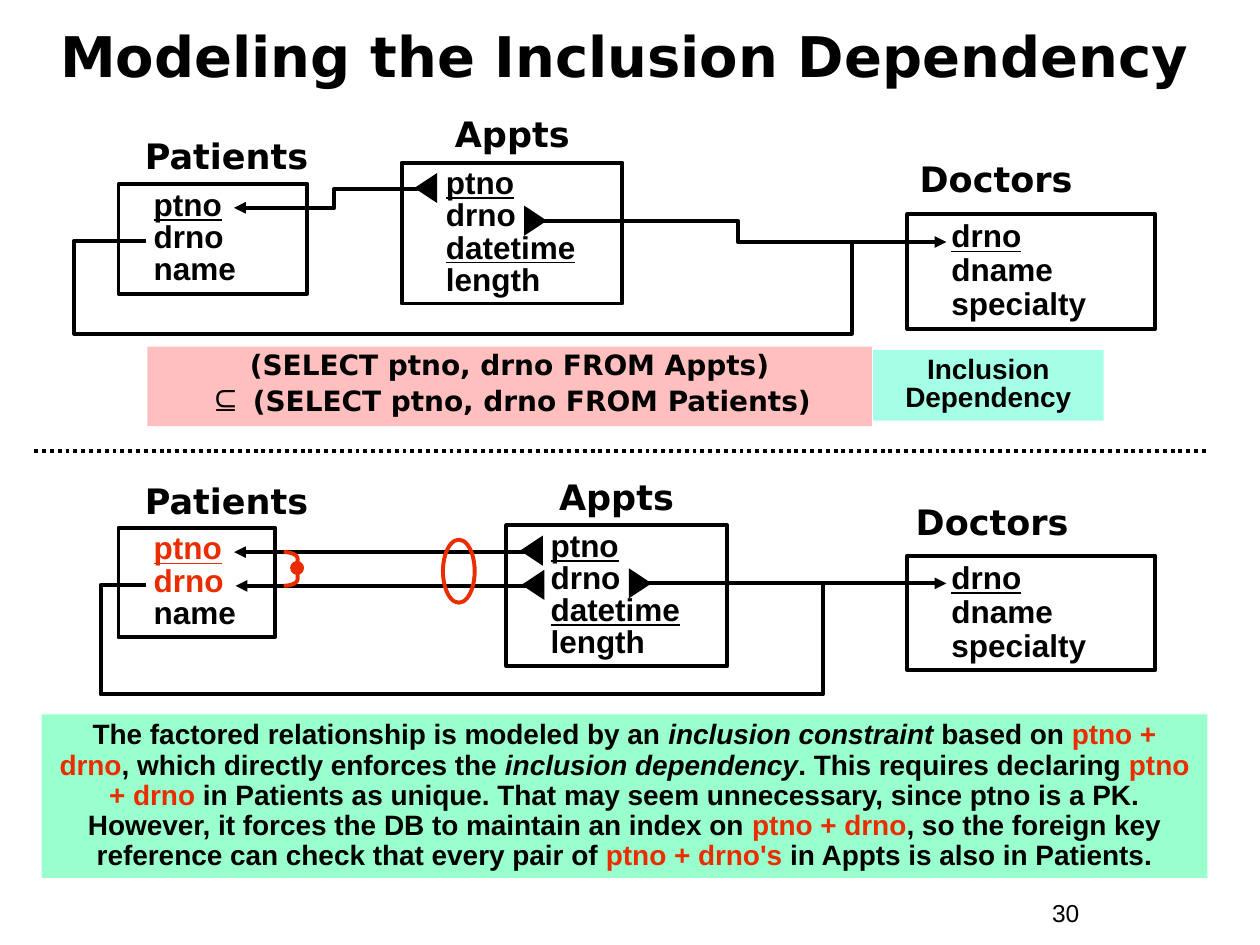
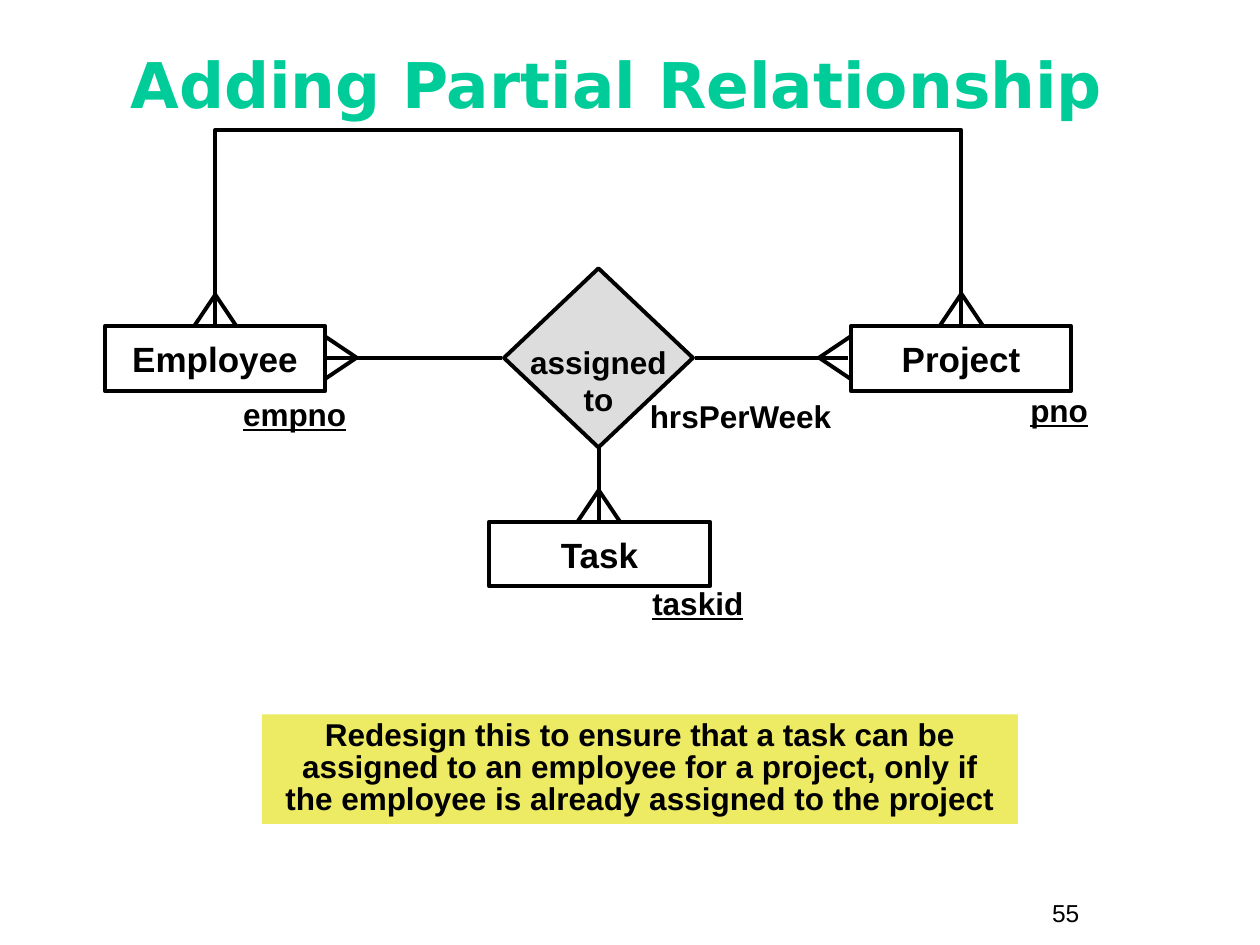
import math

import pptx
import pptx.dml.color
import pptx.enum.dml
import pptx.enum.shapes
import pptx.enum.text
import pptx.oxml
import pptx.oxml.ns
import pptx.util

Cm = pptx.util.Cm
Pt = pptx.util.Pt
RGBColor = pptx.dml.color.RGBColor
Shape = pptx.enum.shapes.MSO_SHAPE
Connector = pptx.enum.shapes.MSO_CONNECTOR
Align = pptx.enum.text.PP_ALIGN
Anchor = pptx.enum.text.MSO_ANCHOR

BLACK = RGBColor(0x00, 0x00, 0x00)
RED = RGBColor(0xEA, 0x2D, 0x00)
TEAL = RGBColor(0x00, 0xCC, 0x99)
PINK = RGBColor(0xFF, 0xBF, 0xBF)
AQUA = RGBColor(0xA5, 0xFF, 0xE7)
MINT = RGBColor(0x99, 0xFF, 0xCC)
YELLOW = RGBColor(0xED, 0xEA, 0x63)
GREY = RGBColor(0xDD, 0xDD, 0xDD)
BODY_FONT = "Arial"
HEADING_FONT = "DejaVu Sans"
LINE_WIDTH = Pt(2.25)

KEY = {"underline": True}
ITALIC = {"italic": True}
HOT = {"color": RED}
HOT_KEY = {"color": RED, "underline": True}


def add_box(slide, place, text=(), shape=None, fill=None, line=None, rotation=0,
            anchor=Anchor.TOP, wrap=True, left_inset=0.25, top_inset=0.13,
            align=Align.LEFT, spacing=1.0, before=0, **font_format):
    lengths = [Cm(value) for value in place]
    if shape is None:
        box = slide.shapes.add_textbox(*lengths)
    else:
        box = slide.shapes.add_shape(shape, *lengths)
        box.shadow.inherit = False
        box.rotation = rotation
        if fill is None:
            box.fill.background()
        else:
            box.fill.solid()
            box.fill.fore_color.rgb = fill
        if line is None:
            box.line.fill.background()
        else:
            box.line.color.rgb = line
            box.line.width = LINE_WIDTH
    frame = box.text_frame
    frame.word_wrap = wrap
    frame.vertical_anchor = anchor
    frame.margin_left, frame.margin_right = Cm(left_inset), Cm(0.25)
    frame.margin_top, frame.margin_bottom = Cm(top_inset), Cm(0.13)
    paragraphs = [[text]] if isinstance(text, str) else text
    for index, spans in enumerate(paragraphs):
        para = frame.add_paragraph() if index else frame.paragraphs[0]
        para.alignment = align
        para.line_spacing = spacing
        para.space_before = Pt(before if index else 0)
        for piece in spans:
            words, changes = (piece, {}) if isinstance(piece, str) else piece
            look = {"font": BODY_FONT, "size": 18, "bold": True, "color": BLACK,
                    **font_format, **changes}
            span = para.add_run()
            span.text = words
            span.font.name = look["font"]
            span.font.size = Pt(look["size"])
            span.font.bold = look["bold"]
            span.font.italic = look.get("italic", False)
            span.font.underline = look.get("underline", False)
            span.font.color.rgb = look["color"]
    return box


def add_line(slide, points, color=BLACK, kind=Connector.STRAIGHT, arrow=False):
    corners = [(Cm(x), Cm(y)) for x, y in points]
    if len(corners) == 2:
        line = slide.shapes.add_connector(kind, *corners[0], *corners[1])
        properties = line.element.spPr
        pptx.oxml.ns.qn("a:effectLst")
        line.line.color.rgb = color
        line.line.width = LINE_WIDTH
        if arrow:
            head = pptx.oxml.parse_xml(
                f'<a:tailEnd {pptx.oxml.ns.nsdecls("a")} type="triangle"/>')
            line.line.color.rgb = color
            properties.find(pptx.oxml.ns.qn("a:ln")).append(head)
        properties.append(pptx.oxml.parse_xml(
            f'<a:effectLst {pptx.oxml.ns.nsdecls("a")}/>'))
        return line
    builder = slide.shapes.build_freeform(*corners[0])
    builder.add_line_segments(corners[1:], close=False)
    line = builder.convert_to_shape()
    line.shadow.inherit = False
    line.fill.background()
    line.line.color.rgb = color
    line.line.width = LINE_WIDTH
    return line


deck = pptx.Presentation()
deck.slide_width, deck.slide_height = Cm(25.4), Cm(19.05)
slides = []
for title, place, size, color, spacing, number in [
    ("Modeling the Inclusion Dependency", (0.43, 0.38, 24.33, 1.7), 32, BLACK, 0.8, "30"),
    ("Adding Partial Relationship", (0.58, 0.84, 23.7, 1.7), 36, TEAL, 1.0, "55"),
]:
    slide = deck.slides.add_slide(deck.slide_layouts[6])
    add_box(slide, (20.96, 17.98, 2.34, 0.86), number, size=14, bold=False)
    add_box(slide, place, title, font=HEADING_FONT, size=size, color=color,
            align=Align.CENTER, anchor=Anchor.MIDDLE, spacing=spacing)
    slides.append(slide)
inclusion, partial = slides

doctors = [[("drno", KEY)], ["dname"], ["specialty"]]
appts = [[("ptno", KEY)], ["drno"], [("datetime", KEY)], ["length"]]
patients = [[("ptno", KEY)], ["drno"], ["name"]]
unique_patients = [[("ptno", HOT_KEY)], [("drno", HOT)], ["name"]]
for name, heading_at, table_place, fields, inset, spacing in [
    ("Doctors", (18.29, 3.05), (18.29, 4.32, 5, 2.31), doctors, 0.89, 0.9),
    ("Patients", (2.67, 2.59), (2.39, 3.71, 3.81, 2.21), patients, 0.71, 0.85),
    ("Appts", (8.92, 2.14), (8.1, 3.28, 4.45, 2.84), appts, 0.89, 0.85),
    ("Doctors", (18.21, 9.96), (18.29, 11.2, 5, 2.31), doctors, 0.89, 0.9),
    ("Patients", (2.67, 9.53), (2.39, 10.64, 3.15, 2.21), unique_patients, 0.71, 0.85),
    ("Appts", (11.02, 9.46), (10.21, 10.59, 4.45, 2.84), appts, 0.89, 0.85),
]:
    add_box(inclusion, (*heading_at, 5.46, 1.12), name, font=HEADING_FONT, size=20)
    add_box(inclusion, table_place, fields, shape=Shape.RECTANGLE, line=BLACK,
            left_inset=inset, spacing=spacing)

for start, end, kind in [
    ((8.76, 3.81), (4.72, 4.19), Connector.ELBOW),
    ((10.67, 4.45), (19.08, 4.88), Connector.ELBOW),
    ((10.9, 11.13), (4.72, 11.13), Connector.STRAIGHT),
    ((10.92, 11.81), (4.75, 11.81), Connector.STRAIGHT),
    ((12.78, 11.76), (19.08, 11.76), Connector.STRAIGHT),
]:
    add_line(inclusion, [start, end], kind=kind, arrow=True)

for left, right, top, bottom, join in [
    (1.5, 17.17, 4.85, 6.73, 4.88),
    (2.03, 16.59, 11.79, 14, 11.76),
]:
    add_line(inclusion, [(2.95, top), (left, top), (left, bottom),
                         (right, bottom), (right, join)])

for left, top, rotation in [(8.28, 3.56, 270), (10.49, 4.22, 90), (10.41, 10.87, 270),
                            (12.6, 11.53, 90), (10.44, 11.56, 270)]:
    add_box(inclusion, (left, top, 0.61, 0.46), shape=Shape.ISOSCELES_TRIANGLE,
            fill=BLACK, rotation=rotation)

divider = add_line(inclusion, [(0.69, 9.09), (24.38, 9.09)])
divider.line.dash_style = pptx.enum.dml.MSO_LINE.ROUND_DOT

bracket = []
for center_y, first_angle in [(11.26, -90), (11.68, 0)]:
    for angle in range(first_angle, first_angle + 91, 15):
        turn = math.radians(angle)
        bracket.append((5.72 + 0.28 * math.cos(turn), center_y + 0.13 * math.sin(turn)))
add_line(inclusion, bracket, color=RED)
add_box(inclusion, (5.89, 11.35, 0.2, 0.2), shape=Shape.OVAL, fill=RED, line=RED)
add_box(inclusion, (8.93, 10.88, 0.64, 1.27), shape=Shape.OVAL, line=RED)

query = [
    ["(SELECT ptno, drno FROM Appts)"],
    [("⊆", {"font": BODY_FONT, "size": 20}), " (SELECT ptno, drno FROM Patients)"],
]
explanation = [[
    "The factored relationship is modeled by an ", ("inclusion constraint", ITALIC),
    " based on ", ("ptno + drno", HOT), ", which directly enforces the ",
    ("inclusion dependency", ITALIC), ". This requires declaring ", ("ptno + drno", HOT),
    " in Patients as unique. That may seem unnecessary, since ptno is a PK. "
    "However, it forces the DB to maintain an index on ", ("ptno + drno", HOT),
    ", so the foreign key reference can check that every pair of ",
    ("ptno + drno's", HOT), " in Appts is also in Patients.",
]]
task_rule = ("Redesign this to ensure that a task can be assigned to an employee for a "
             "project, only if the employee is already assigned to the project")
for slide, place, text, fill, font, size, spacing in [
    (inclusion, (2.97, 6.99, 14.61, 1.6), query, PINK, HEADING_FONT, 16, 0.85),
    (inclusion, (17.6, 7.06, 4.65, 1.42), "Inclusion Dependency", AQUA, BODY_FONT, 16, 0.85),
    (inclusion, (0.84, 14.4, 23.5, 3.3), explanation, MINT, BODY_FONT, 16, 0.9),
    (partial, (5.28, 14.4, 15.24, 2.21), task_rule, YELLOW, BODY_FONT, 18, 0.85),
]:
    add_box(slide, place, text, shape=Shape.RECTANGLE, fill=fill, font=font, size=size,
            align=Align.CENTER, spacing=spacing, before=1)

add_box(partial, (10.16, 5.41, 3.81, 3.61), [["assigned"], ["to"]],
        shape=Shape.FLOWCHART_DECISION, fill=GREY, line=BLACK, wrap=False,
        align=Align.CENTER, anchor=Anchor.MIDDLE, top_inset=1.04)
for name, left, top in [("Employee", 2.11, 6.58), ("Project", 17.15, 6.58),
                        ("Task", 9.86, 10.52)]:
    add_box(partial, (left, top, 4.45, 1.3), name, shape=Shape.RECTANGLE, line=BLACK,
            size=20, align=Align.CENTER, anchor=Anchor.MIDDLE)

for points in [
    [(14.02, 7.21), (17.09, 7.21)],
    [(6.6, 7.21), (10.11, 7.21)],
    [(12.07, 9.04), (12.07, 10.49)],
    [(4.34, 6.53), (4.34, 2.62), (19.38, 2.62), (19.38, 6.53)],
]:
    add_line(partial, points)

for x, y, across, down in [(16.51, 7.21, 1, 0), (7.19, 7.21, -1, 0), (12.07, 9.88, 0, 1),
                           (19.38, 5.92, 0, 1), (4.34, 5.94, 0, 1)]:
    for spread in (-0.43, 0.43):
        toe = (x + 0.64 * across + spread * down, y + 0.64 * down + spread * across)
        add_line(partial, [(x, y), toe])

for name, left, top, width, is_key in [
    ("empno", 4.65, 7.95, 3.18, True),
    ("pno", 20.52, 7.87, 2.54, True),
    ("taskid", 12.9, 11.76, 2.54, True),
    ("hrsPerWeek", 12.85, 8, 4.45, False),
]:
    add_box(partial, (left, top, width, 0.92), name, underline=is_key, spacing=0.85)

deck.save("out.pptx")
